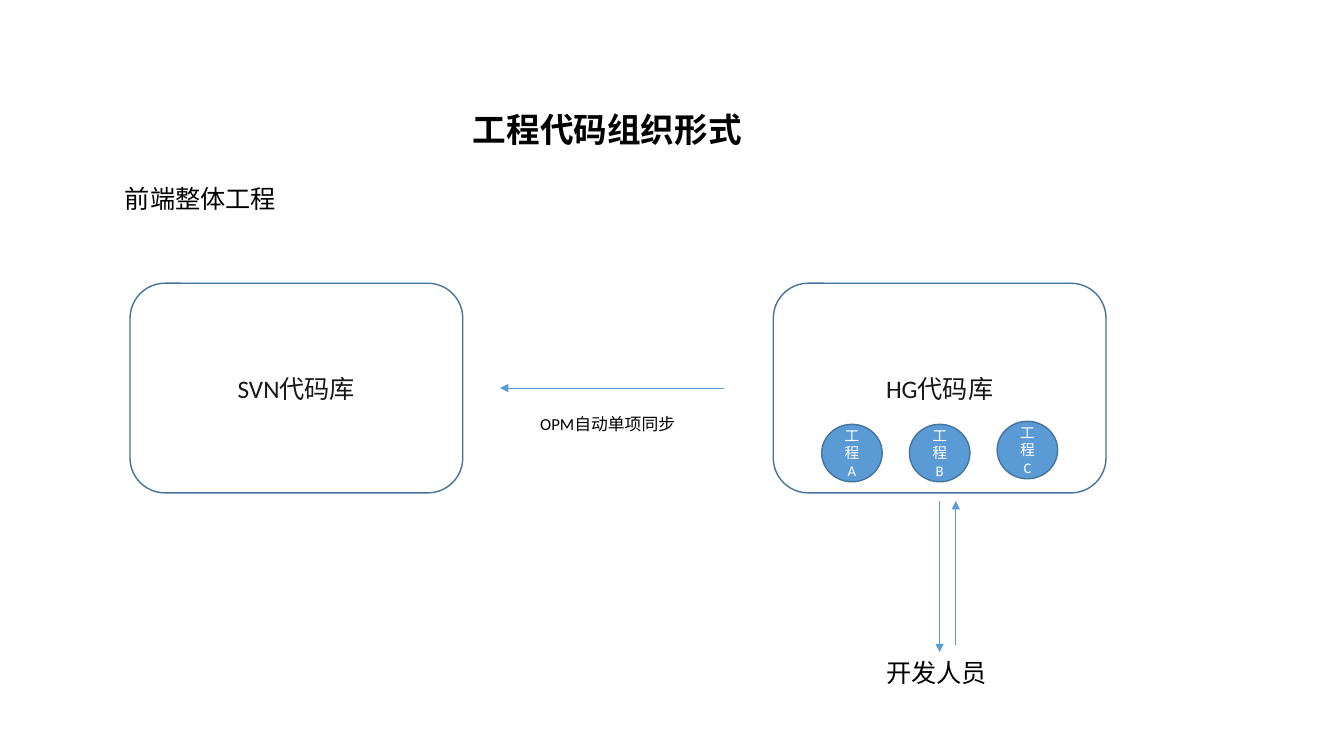
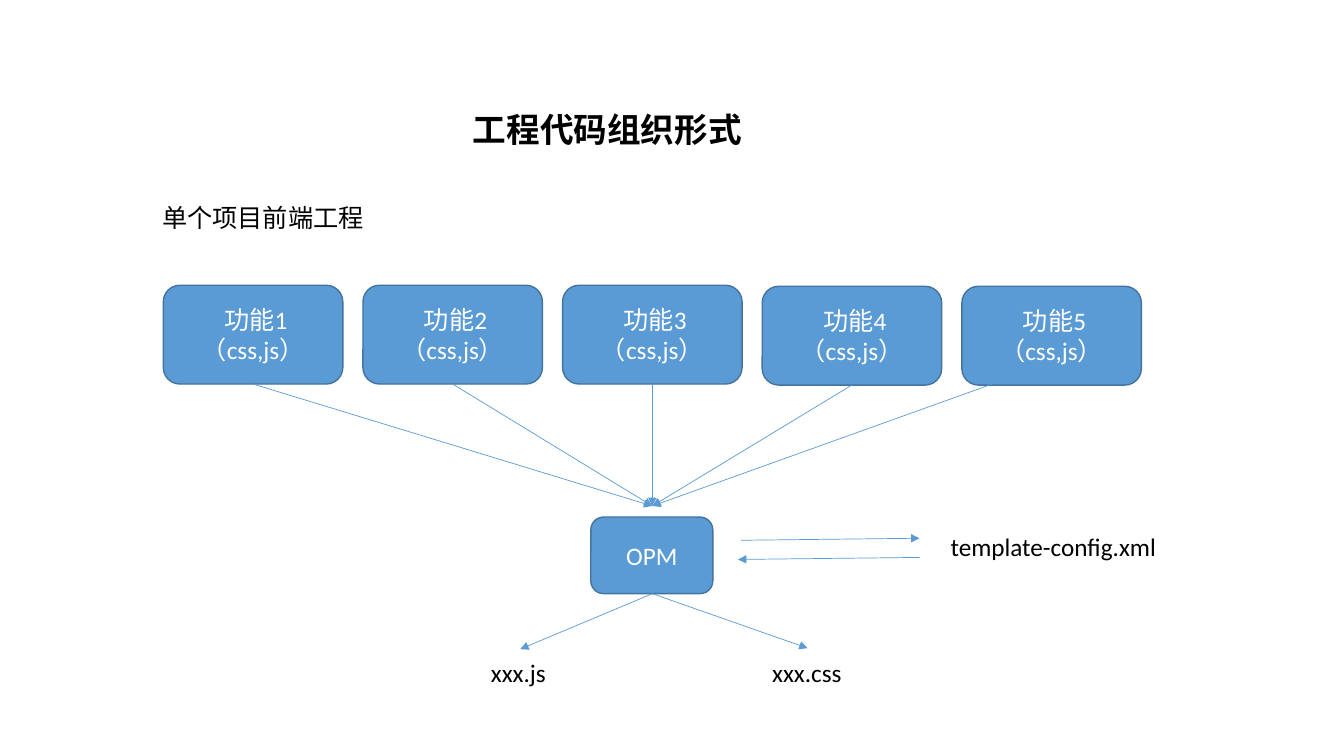
from pptx import Presentation
from pptx.dml.color import RGBColor
from pptx.enum.shapes import MSO_CONNECTOR, MSO_SHAPE
from pptx.enum.text import MSO_ANCHOR, MSO_AUTO_SIZE, PP_ALIGN
from pptx.oxml.ns import qn
from pptx.util import Inches, Pt
from lxml.etree import SubElement

BLUE = RGBColor(0x5B, 0x9B, 0xD5)
OUTLINE = RGBColor(0x43, 0x73, 0x9E)
BLACK = RGBColor(0, 0, 0)
CHARCOAL = RGBColor(0x18, 0x17, 0x17)
WHITE = RGBColor(0xFF, 0xFF, 0xFF)
FONT = "Calibri"


def add_text(slide, text, bounds, size=18, color=BLACK, preset=None, fill=None):
    lengths = [Inches(length) for length in bounds]
    if preset is None:
        shape = slide.shapes.add_textbox(*lengths)
    else:
        shape = slide.shapes.add_shape(preset, *lengths)
        shape.shadow.inherit = False
        shape.line.color.rgb = OUTLINE
        shape.line.width = Pt(1)
        if fill is None:
            shape.fill.background()
        else:
            shape.fill.solid()
            shape.fill.fore_color.rgb = fill
        shape.text_frame.vertical_anchor = MSO_ANCHOR.MIDDLE
    shape.text_frame.word_wrap = True
    shape.text_frame.text = text
    for paragraph in shape.text_frame.paragraphs:
        paragraph.alignment = PP_ALIGN.CENTER if preset else PP_ALIGN.LEFT
        for run in paragraph.runs:
            run.font.name = FONT
            run.font.size = Pt(size)
            run.font.color.rgb = color


def add_arrow(slide, start, end):
    points = [Inches(length) for length in (*start, *end)]
    connector = slide.shapes.add_connector(MSO_CONNECTOR.STRAIGHT, *points)
    connector.line.color.rgb = BLUE
    connector.line.width = Pt(0.5)
    SubElement(connector.line._get_or_add_ln(), qn("a:tailEnd"), type="triangle")
    SubElement(connector._element.spPr, qn("a:effectLst"))


presentation = Presentation()
presentation.slide_width = Inches(13.33)
presentation.slide_height = Inches(7.5)

slides = []
for subtitle, bounds in (
    ("前端整体工程", (1.14, 1.77, 2.06, 0.4)),
    ("单个项目前端工程", (1.51, 1.96, 4.9, 0.4)),
):
    slide = presentation.slides.add_slide(presentation.slide_layouts[5])
    title = slide.shapes.title
    title.left, title.top = Inches(4.59), Inches(1.03)
    title.width, title.height = Inches(3.64), Inches(0.5)
    title.text_frame.text = "工程代码组织形式"
    title.text_frame.auto_size = MSO_AUTO_SIZE.NONE
    title.text_frame.vertical_anchor = MSO_ANCHOR.TOP
    paragraph = title.text_frame.paragraphs[0]
    paragraph.alignment = PP_ALIGN.LEFT
    font = paragraph.runs[0].font
    font.name, font.size, font.bold = FONT, Pt(24), True
    font.color.rgb = BLACK
    add_text(slide, subtitle, bounds)
    slides.append(slide)

repository_slide, project_slide = slides

for left, name in ((7.67, "HG代码库"), (1.29, "SVN代码库")):
    add_text(repository_slide, name, (left, 2.81, 3.3, 2.08),
             color=CHARCOAL, preset=MSO_SHAPE.ROUNDED_RECTANGLE)

for column, (name, top) in enumerate((("工程A", 4.21), ("工程\nB", 4.21), ("工程\nC", 4.18))):
    add_text(repository_slide, name, (8.15 + 0.87 * column, top, 0.6, 0.57),
             size=10.5, color=WHITE, preset=MSO_SHAPE.OVAL, fill=BLUE)

for start, end in (
    ((9.32, 4.97), (9.32, 6.47)),
    ((9.48, 6.4), (9.48, 4.97)),
    ((7.18, 3.85), (4.96, 3.85)),
):
    add_arrow(repository_slide, start, end)

add_text(repository_slide, "开发人员", (8.69, 6.47, 1.58, 0.4))
add_text(repository_slide, "OPM自动单项同步", (5.26, 4.06, 1.64, 0.3), size=12)

feature_tops = (2.83, 2.83, 2.83, 2.84, 2.84)
for column, top in enumerate(feature_tops):
    add_text(project_slide, f" 功能{column + 1} （css,js）",
             (1.62 + 1.98 * column, top, 1.78, 0.98),
             color=WHITE, preset=MSO_SHAPE.ROUNDED_RECTANGLE, fill=BLUE)

merge_point = (6.47, 5.02)
for column, top in enumerate(feature_tops[:4]):
    add_arrow(project_slide, (2.51 + 1.98 * column, top + 0.98), merge_point)
add_arrow(project_slide, (10.26, 3.66), merge_point)

add_text(project_slide, "OPM", (5.86, 5.13, 1.21, 0.76),
         color=WHITE, preset=MSO_SHAPE.ROUNDED_RECTANGLE, fill=BLUE)

for start, end in (
    ((6.47, 5.89), (5.16, 6.44)),
    ((6.47, 5.89), (8.01, 6.43)),
    ((7.35, 5.36), (9.12, 5.34)),
    ((9.12, 5.53), (7.32, 5.55)),
):
    add_arrow(project_slide, start, end)

for name, left, top, width in (
    ("xxx.js", 4.77, 6.47, 1.09),
    ("xxx.css", 7.56, 6.47, 1.09),
    ("template-config.xml", 9.33, 5.22, 2.45),
):
    add_text(project_slide, name, (left, top, width, 0.4))

presentation.save("out.pptx")
